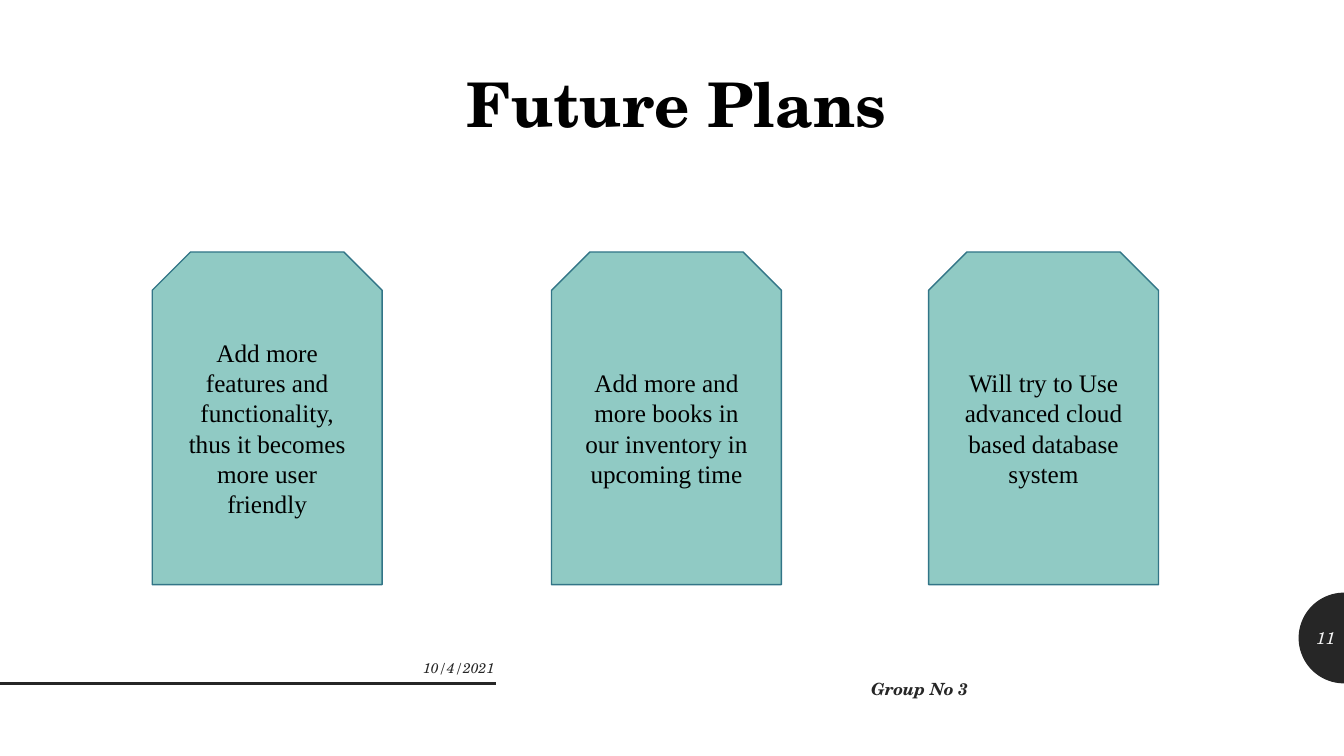
from math import cos, pi, sin

from lxml import etree
from pptx import Presentation
from pptx.dml.color import RGBColor
from pptx.enum.shapes import MSO_CONNECTOR, MSO_SHAPE
from pptx.enum.text import MSO_ANCHOR, PP_ALIGN
from pptx.oxml.ns import qn
from pptx.util import Inches, Pt

CENTER, RIGHT = PP_ALIGN.CENTER, PP_ALIGN.RIGHT
TOP, MIDDLE = MSO_ANCHOR.TOP, MSO_ANCHOR.MIDDLE
SNIPPED_CARD = MSO_SHAPE.SNIP_2_SAME_RECTANGLE
STRAIGHT = MSO_CONNECTOR.STRAIGHT

SLIDE_W, SLIDE_H = 13.33, 7.5
SERIF, BODY = "TeX Gyre Schola", "Times New Roman"
INK, DARK, PALE = "000000", "262626", "F5F5F5"
TEAL, TEAL_EDGE = "90CAC4", "327587"

CARD_W, CARD_H = 2.28, 3.3
PLANS = [
    (1.51, "Add more features and functionality, thus it becomes more user friendly"),
    (5.47, "Add more and more books in our inventory in upcoming time"),
    (9.21, "Will try to Use advanced cloud based database system"),
]


def color(hex_string):
    return RGBColor.from_string(hex_string)


def write(shape, text, size, font, hex_color, align, anchor=TOP, bold=False, italic=False):
    frame = shape.text_frame
    frame.word_wrap = True
    frame.vertical_anchor = anchor
    frame.text = text
    paragraph = frame.paragraphs[0]
    paragraph.alignment = align
    style = paragraph.runs[0].font
    style.size, style.name = Pt(size), font
    style.bold, style.italic = bold, italic
    style.color.rgb = color(hex_color)


def add_label(slide, box, *text_style, **options):
    label = slide.shapes.add_textbox(*map(Inches, box))
    write(label, *text_style, **options)


def add_plan_card(slide, box, text):
    card = slide.shapes.add_shape(SNIPPED_CARD, *map(Inches, box))
    card.shadow.inherit = False
    card.fill.solid()
    card.fill.fore_color.rgb = color(TEAL)
    card.line.color.rgb = color(TEAL_EDGE)
    card.line.width = Pt(1)
    write(card, text, 18, BODY, INK, CENTER, MIDDLE)


def add_page_badge(slide, center_y, radius, number):
    """Half disc against the right edge of the slide, with the page number in it."""
    steps = 48
    angles = [pi * step / steps for step in range(steps + 1)]
    arc = [(Inches(SLIDE_W - radius * sin(angle)), Inches(center_y + radius * cos(angle)))
           for angle in angles]
    outline = slide.shapes.build_freeform(*arc[0])
    outline.add_line_segments(arc[1:], close=True)
    badge = outline.convert_to_shape()
    badge.shadow.inherit = False
    badge.fill.solid()
    badge.fill.fore_color.rgb = color(DARK)
    badge.line.fill.background()
    add_label(slide, (SLIDE_W - radius + 0.01, center_y - 0.2, radius, 0.4),
              number, 12, SERIF, PALE, RIGHT, anchor=MIDDLE, italic=True)


def add_footer(slide, rule_y, rule_length):
    rule = slide.shapes.add_connector(
        STRAIGHT, 0, Inches(rule_y), Inches(rule_length), Inches(rule_y))
    rule.line.color.rgb = color(DARK)
    rule.line.width = Pt(2)
    etree.SubElement(rule.element.spPr, qn("a:effectLst"))
    add_label(slide, (0.83, rule_y - 0.29, 4.17, 0.4),
              "10/4/2021", 10, SERIF, DARK, RIGHT, italic=True)
    add_label(slide, (5.53, rule_y - 0.1, 4.17, 0.4),
              "Group No 3", 12, SERIF, DARK, RIGHT, bold=True, italic=True)


def add_future_plans(deck):
    slide = deck.slides.add_slide(deck.slide_layouts[6])
    add_page_badge(slide, 6.33, 0.45, "11")
    add_footer(slide, 6.78, 4.92)
    add_label(slide, (3.07, 0.61, 7.28, 0.84),
              "Future Plans", 44, SERIF, INK, CENTER, bold=True)
    for left, plan in PLANS:
        add_plan_card(slide, (left, SLIDE_H / 3, CARD_W, CARD_H), plan)


def main():
    deck = Presentation()
    deck.slide_width, deck.slide_height = Inches(SLIDE_W), Inches(SLIDE_H)
    add_future_plans(deck)
    deck.save("out.pptx")


if __name__ == "__main__":
    main()
